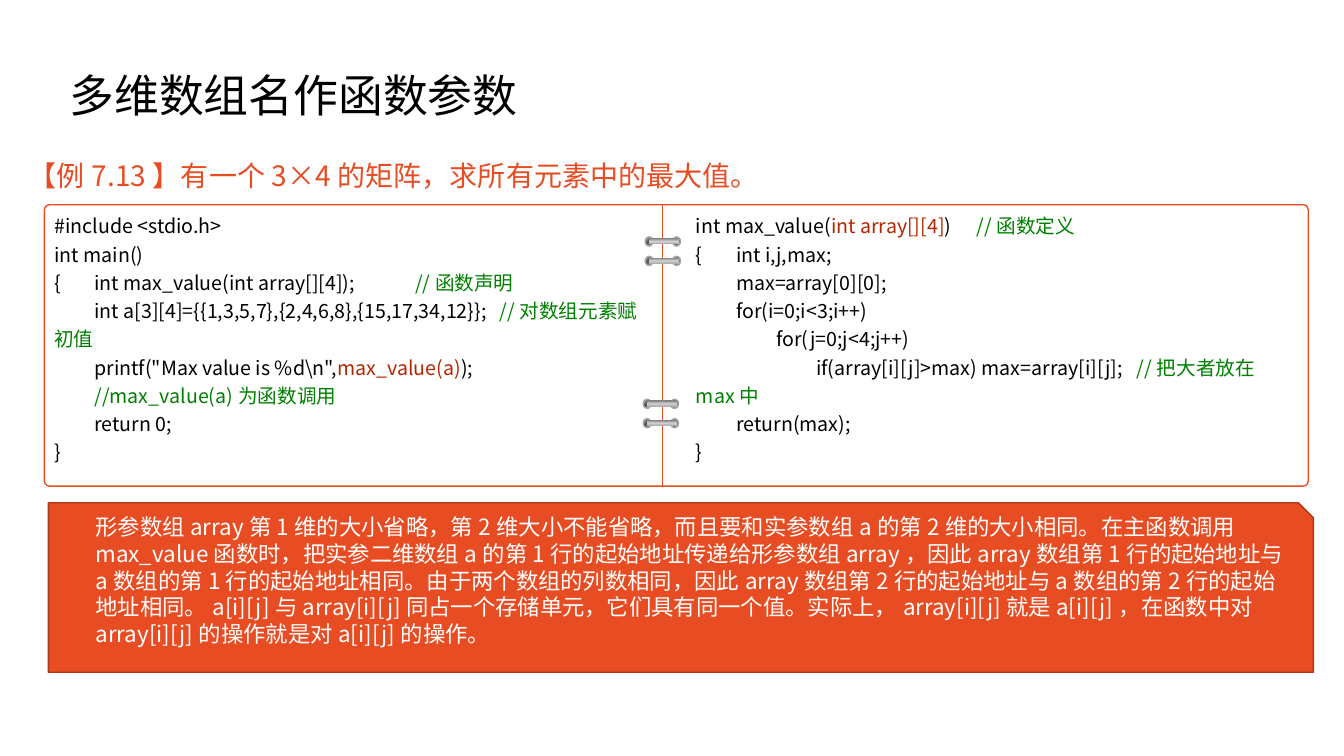
import pptx
import pptx.dml.color
import pptx.enum.shapes
import pptx.enum.text
import pptx.oxml
import pptx.oxml.ns
import pptx.util

Cm = pptx.util.Cm
Pt = pptx.util.Pt
SHAPE = pptx.enum.shapes.MSO_SHAPE
ANCHOR = pptx.enum.text.MSO_ANCHOR

FONT = "Noto Sans CJK SC"
BLACK, WHITE, ORANGE, RUST = "000000", "FFFFFF", "E84C22", "AC3819"
GREEN, RED, SILVER = "008000", "B22600", "A9A9A9"

TITLE = "多维数组名作函数参数"
EXAMPLE = "【例7.13】有一个3×4的矩阵，求所有元素中的最大值。"
EXPLANATION = (
    "形参数组array第1维的大小省略，第2维大小不能省略，而且要和实参数组a的第2维的大小相同。"
    "在主函数调用max_value函数时，把实参二维数组a的第1行的起始地址传递给形参数组array，"
    "因此array数组第1行的起始地址与a数组的第1行的起始地址相同。"
    "由于两个数组的列数相同，因此array数组第2行的起始地址与a数组的第2行的起始地址相同。"
    "a[i][j]与array[i][j]同占一个存储单元，它们具有同一个值。"
    "实际上，array[i][j]就是a[i][j]，在函数中对array[i][j]的操作就是对a[i][j]的操作。"
)
MAIN_CODE = [
    [("#include <stdio.h>", BLACK)],
    [("int main()", BLACK)],
    [("{\tint max_value(int array[][4]);\t\t", BLACK), ("//函数声明", GREEN)],
    [("\tint a[3][4]={{1,3,5,7},{2,4,6,8},{15,17,34,12}};\t ", BLACK),
     ("//对数组元素赋初值", GREEN)],
    [('\tprintf("Max value is %d\\n",', BLACK), ("max_value(a)", RED), (");", BLACK)],
    [("\t", BLACK), ("//max_value(a)为函数调用", GREEN)],
    [("\treturn 0;", BLACK)],
    [("}", BLACK)],
]
FUNCTION_CODE = [
    [("int max_value(", BLACK), ("int array[][4]", RED), (")\t", BLACK), ("//函数定义", GREEN)],
    [("{\tint i,j,max;", BLACK)],
    [("\tmax=array[0][0];", BLACK)],
    [("\tfor(i=0;i<3;i++)", BLACK)],
    [("\t\tfor(j=0;j<4;j++)", BLACK)],
    [("\t\t\tif(array[i][j]>max) max=array[i][j];\t", BLACK), ("//把大者放在max中", GREEN)],
    [("\treturn(max);", BLACK)],
    [("}", BLACK)],
]

PANEL = (1.12, 5.16, 31.85, 7.09)
COLUMN_GAP, INSET = 0.99, 0.25
TAB_STEP, TAB_COUNT = 1.01, 14
DIVIDER_X = 16.69
BINDERS = [(16.26, 5.97), (16.21, 10.06)]
RING_PITCH, DOT_SPREAD = 0.49, 0.69
DOT_STOPS = [(20, "808080"), (51, "525252"), (86, "A5A5A5")]
BAR_STOPS = [(9, "808080"), (57, "D2D2D2"), (98, "AEAEAE")]
DOT_DIRECTION = '<a:path path="circle"><a:fillToRect l="100000" t="100000"/></a:path>'
BAR_DIRECTION = '<a:lin ang="5400000" scaled="0"/>'
NAMESPACE = pptx.oxml.ns.nsdecls("a")


def rgb(value):
    return pptx.dml.color.RGBColor.from_string(value)


def add_tabs(para):
    stops = "".join(f'<a:tab pos="{Cm(TAB_STEP * number)}" algn="l"/>'
                    for number in range(1, TAB_COUNT + 1))
    para._p.get_or_add_pPr().append(
        pptx.oxml.parse_xml(f"<a:tabLst {NAMESPACE}>{stops}</a:tabLst>"))


def add_text(page, place, lines, size, spacing=1.0, anchor=ANCHOR.TOP, tabs=False):
    box = page.shapes.add_textbox(*map(Cm, place))
    frame = box.text_frame
    for name, value in {"word_wrap": True, "vertical_anchor": anchor}.items():
        setattr(frame, name, value)
    for index, line in enumerate(lines):
        para = frame.add_paragraph() if index else frame.paragraphs[0]
        para.line_spacing = spacing
        if tabs:
            add_tabs(para)
        for text, color in line:
            span = para.add_run()
            span.text = text
            for name, value in {"size": Pt(size), "name": FONT}.items():
                setattr(span.font, name, value)
            span.font.color.rgb = rgb(color)
            span._r.get_or_add_rPr().append(
                pptx.oxml.parse_xml(f'<a:ea {NAMESPACE} typeface="{FONT}"/>'))


def add_block(page, kind, place, fill=None, line=None, corner=None):
    block = page.shapes.add_shape(kind, *map(Cm, place))
    block.shadow.inherit = False
    if fill:
        block.fill.solid()
        block.fill.fore_color.rgb = rgb(fill)
    if line:
        block.line.color.rgb = rgb(line)
        block.line.width = Pt(1)
    else:
        block.line.fill.background()
    if corner is not None:
        block.adjustments[0] = corner
    return block


def add_gradient(block, stops, direction):
    marks = "".join(f'<a:gs pos="{position * 1000}"><a:srgbClr val="{color}"/></a:gs>'
                    for position, color in stops)
    block._element.spPr.find(pptx.oxml.ns.qn("a:prstGeom")).addnext(pptx.oxml.parse_xml(
        f"<a:gradFill {NAMESPACE}><a:gsLst>{marks}</a:gsLst>{direction}</a:gradFill>"))


def add_ring(page, left, top):
    for dot_left in (left + DOT_SPREAD, left):
        dot = add_block(page, SHAPE.OVAL, (dot_left, top, 0.2, 0.23), line=SILVER)
        add_gradient(dot, DOT_STOPS, DOT_DIRECTION)
    bar = add_block(page, SHAPE.RECTANGLE, (left + 0.1, top + 0.03, 0.76, 0.15))
    add_gradient(bar, BAR_STOPS, BAR_DIRECTION)


def add_divider(page, left, top, bottom):
    divider = page.shapes.add_connector(pptx.enum.shapes.MSO_CONNECTOR.STRAIGHT,
                                        Cm(left), Cm(top), Cm(left), Cm(bottom))
    divider.line.color.rgb = rgb(ORANGE)
    divider.line.width = Pt(0.5)
    divider._element.spPr.append(pptx.oxml.parse_xml(f"<a:effectLst {NAMESPACE}/>"))


def main():
    deck = pptx.Presentation()
    deck.slide_width, deck.slide_height = Cm(33.87), Cm(19.05)
    page = deck.slides.add_slide(deck.slide_layouts[6])

    add_text(page, (1.5, 0.64, 29.21, 3.68), [[(TITLE, BLACK)]], 32, 0.9, ANCHOR.MIDDLE)
    add_text(page, (0.48, 3.45, 22.73, 1.52), [[(EXAMPLE, ORANGE)]], 20, 1.5)
    add_block(page, SHAPE.SNIP_1_RECTANGLE, (1.22, 12.67, 31.88, 4.27), ORANGE, RUST, 0.088)
    add_text(page, (2.16, 12.8, 30.71, 4.67), [[(EXPLANATION, WHITE)]], 16)

    left, top, width, height = PANEL
    add_block(page, SHAPE.ROUNDED_RECTANGLE, PANEL, WHITE, ORANGE, 0.018)
    column = (width - 2 * INSET - COLUMN_GAP) / 2
    for index, code in enumerate((MAIN_CODE, FUNCTION_CODE)):
        place = (left + index * (column + COLUMN_GAP), top, column + 2 * INSET, height)
        add_text(page, place, code, 14, 1.2, tabs=True)

    add_divider(page, DIVIDER_X, top, top + height)
    for ring_left, ring_top in BINDERS:
        for number in range(2):
            add_ring(page, ring_left, ring_top + number * RING_PITCH)

    deck.save("out.pptx")


if __name__ == "__main__":
    main()
